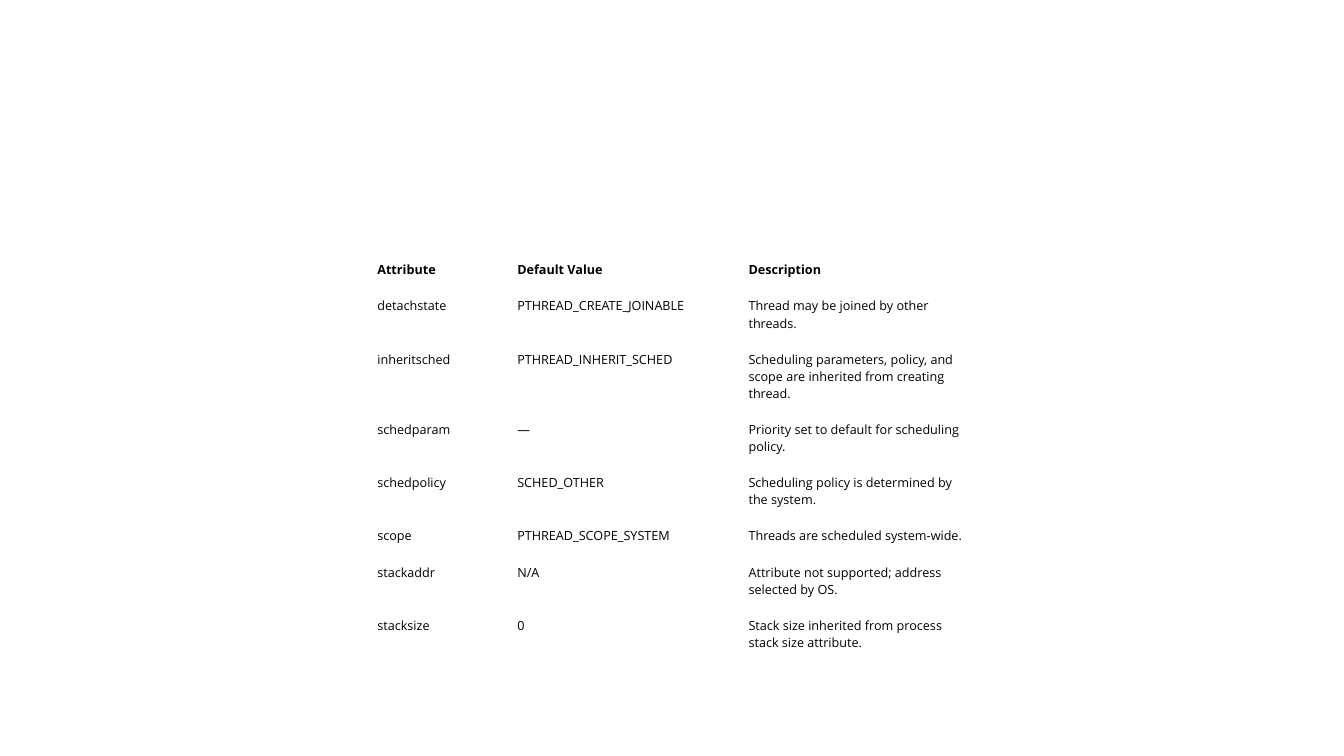
from dataclasses import dataclass

from pptx import Presentation
from pptx.dml.color import RGBColor
from pptx.util import Pt


@dataclass(frozen=True)
class Theme:
    font: str = "Open Sans"
    body_size: float = 9
    ink: RGBColor = RGBColor(0x00, 0x00, 0x00)
    paper: RGBColor = RGBColor(0xFF, 0xFF, 0xFF)
    cell_inset: float = 6.75


THEME = Theme()
SLIDE_SIZE = (960, 540)
ATTRIBUTES_BOX = (262.8, 180, 435, 270)
COLUMN_WIDTHS = (100, 165.2, 169.8)
ATTRIBUTES = (
    ("Attribute", "Default Value", "Description"),
    ("detachstate", "PTHREAD_CREATE_JOINABLE", "Thread may be joined by other threads."),
    ("inheritsched", "PTHREAD_INHERIT_SCHED",
     "Scheduling parameters, policy, and scope are inherited from creating thread."),
    ("schedparam", "—", "Priority set to default for scheduling policy."),
    ("schedpolicy", "SCHED_OTHER", "Scheduling policy is determined by the system."),
    ("scope", "PTHREAD_SCOPE_SYSTEM", "Threads are scheduled system-wide."),
    ("stackaddr", "N/A", "Attribute not supported; address selected by OS."),
    ("stacksize", "0", "Stack size inherited from process stack size attribute."),
)


def write(frame, text, *, size=THEME.body_size, bold=False, color=THEME.ink):
    run = frame.paragraphs[0].add_run()
    run.text = text
    run.font.name = THEME.font
    run.font.size = Pt(size)
    run.font.bold = bold
    run.font.color.rgb = color


def fill_cell(cell, text, *, heading):
    cell.fill.solid()
    cell.fill.fore_color.rgb = THEME.paper
    inset = Pt(THEME.cell_inset)
    cell.margin_left = cell.margin_right = inset
    cell.margin_top = cell.margin_bottom = inset
    write(cell.text_frame, text, bold=heading)


def add_attributes(slide, box):
    left, top, width, height = map(Pt, box)
    holder = slide.shapes.add_table(
        len(ATTRIBUTES), len(COLUMN_WIDTHS), left, top, width, height)
    attributes = holder.table
    attributes.first_row = False
    attributes.horz_banding = False
    for column, column_width in zip(attributes.columns, COLUMN_WIDTHS):
        column.width = Pt(column_width)
    for index, (row, entries) in enumerate(zip(attributes.rows, ATTRIBUTES)):
        row.height = Pt(0)
        for cell, entry in zip(row.cells, entries):
            fill_cell(cell, entry, heading=index == 0)
    holder.height = height


def main():
    deck = Presentation()
    deck.slide_width, deck.slide_height = map(Pt, SLIDE_SIZE)
    slide = deck.slides.add_slide(deck.slide_layouts[6])
    slide.background.fill.solid()
    slide.background.fill.fore_color.rgb = THEME.paper
    add_attributes(slide, ATTRIBUTES_BOX)
    deck.save("out.pptx")


if __name__ == "__main__":
    main()
